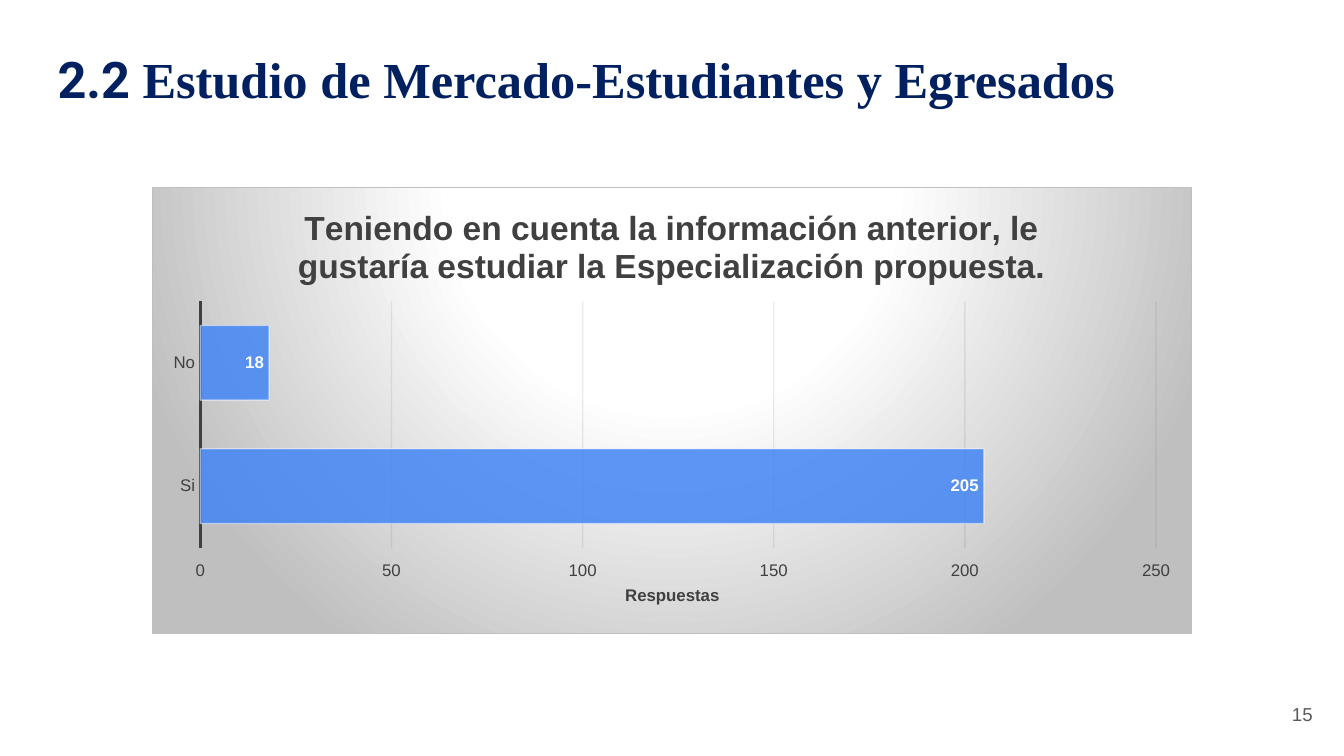
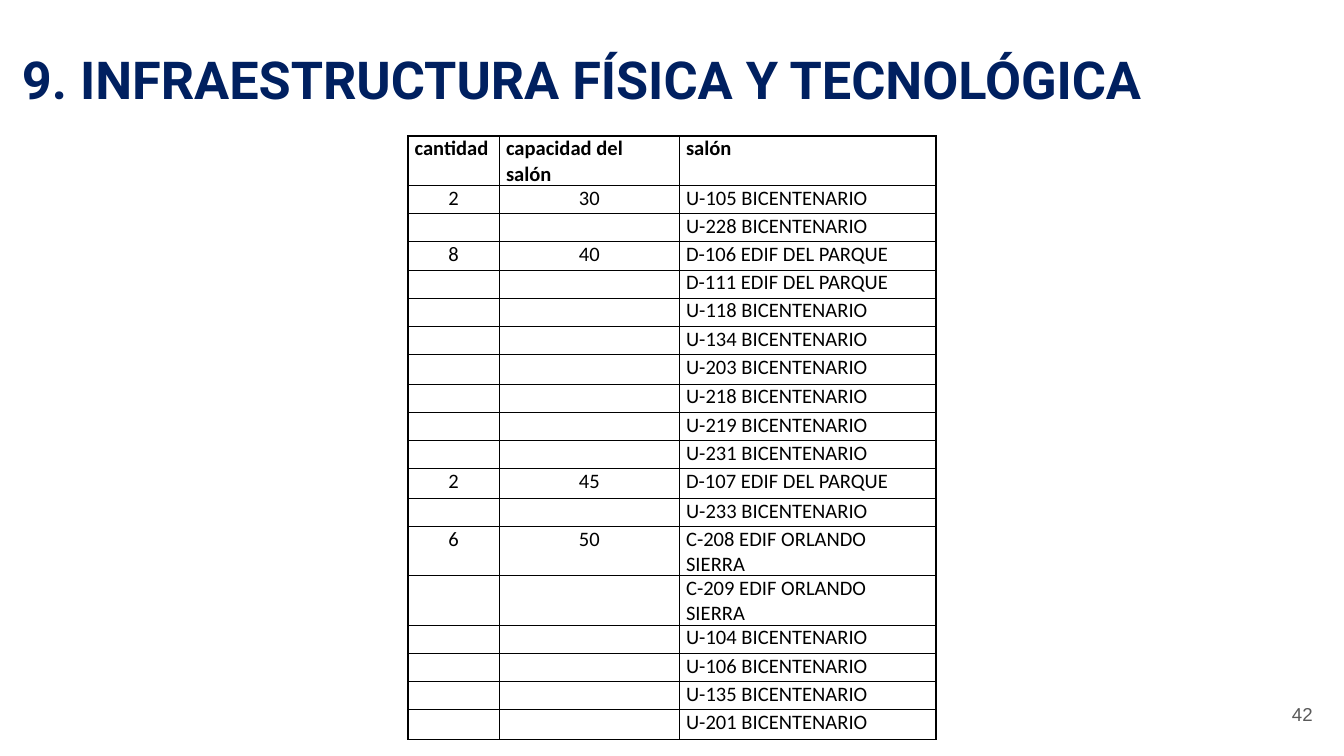
from lxml import etree
from pptx import Presentation
from pptx import util as u
from pptx.chart import data as chart_data
from pptx.dml import color
from pptx.enum import chart as ch
from pptx.enum import text
from pptx.oxml import ns, parse_xml

WIDTH = u.Inches(10)
HEIGHT = WIDTH * 9 // 16
NAVY, BLACK, WHITE = "002060", "000000", "FFFFFF"
DARK, GREY, SILVER, BLUE = "404040", "595959", "BFBFBF", "4285F4"
NUMBER_BOX = (92.65, 90.67, 6, 7.64)

ROOMS = [
    ("2", "30", ["U-105 BICENTENARIO", "U-228 BICENTENARIO"]),
    ("8", "40", ["D-106 EDIF DEL PARQUE", "D-111 EDIF DEL PARQUE",
                 "U-118 BICENTENARIO", "U-134 BICENTENARIO",
                 "U-203 BICENTENARIO", "U-218 BICENTENARIO",
                 "U-219 BICENTENARIO", "U-231 BICENTENARIO"]),
    ("2", "45", ["D-107 EDIF DEL PARQUE", "U-233 BICENTENARIO"]),
    ("6", "50", ["C-208 EDIF ORLANDO SIERRA", "C-209 EDIF ORLANDO SIERRA",
                 "U-104 BICENTENARIO", "U-106 BICENTENARIO",
                 "U-135 BICENTENARIO", "U-201 BICENTENARIO"]),
]


def rgb(hex_code):
    return color.RGBColor.from_string(hex_code)


def place(box):
    """Turn hundredths of the slide's width and height into lengths."""
    left, top, width, height = box
    return (int(WIDTH * left / 100), int(HEIGHT * top / 100),
            int(WIDTH * width / 100), int(HEIGHT * height / 100))


def style(font, size, hex_code, face="Arial", bold=False):
    font.size, font.name, font.bold = u.Pt(size), face, bold
    font.color.rgb = rgb(hex_code)


def add_text(slide, box, pieces, size, hex_code, bold=False, inset=0.1):
    """Add one paragraph made of (words, face) pieces."""
    frame = slide.shapes.add_textbox(*place(box)).text_frame
    frame.word_wrap = True
    frame.margin_left = frame.margin_right = u.Inches(0.1)
    frame.margin_top = frame.margin_bottom = u.Inches(inset)
    for words, face in pieces:
        run = frame.paragraphs[0].add_run()
        run.text = words
        style(run.font, size, hex_code, face, bold)
    return frame


def add_title(slide, box, pieces, size, inset=0.1):
    return add_text(slide, box, pieces, size, NAVY, True, inset)


def add_number(slide, number):
    frame = add_text(slide, NUMBER_BOX, [(number, "Arial")], 10, GREY)
    frame.vertical_anchor = text.MSO_ANCHOR.MIDDLE
    frame.paragraphs[0].alignment = text.PP_ALIGN.RIGHT


def set_alpha(colours, percent):
    for colour in colours:
        etree.SubElement(colour, ns.qn("a:alpha")).set("val", str(percent * 1000))


def set_layout(owner, **shares):
    """Fix a chart part at hundredths of the chart's size."""
    for old in owner.findall(ns.qn("c:layout")):
        owner.remove(old)
    layout = etree.Element(ns.qn("c:layout"))
    manual = etree.SubElement(layout, ns.qn("c:manualLayout"))
    values = {"layoutTarget": "inner"} if "w" in shares else {}
    values.update(xMode="edge", yMode="edge")
    values.update((key, share / 100) for key, share in shares.items())
    for key, value in values.items():
        etree.SubElement(manual, ns.qn("c:" + key)).set("val", str(value))
    words = owner.find(ns.qn("c:tx"))
    if words is None:
        owner.insert(0, layout)
    else:
        words.addnext(layout)


def set_chart_title(title, words, size, x, y):
    title.text_frame.text = words
    style(title.text_frame.paragraphs[0].runs[0].font, size, DARK, bold=True)
    set_layout(title._element, x=x, y=y)


def fill_chart_area(chart):
    stops = "".join(
        f'<a:gs pos="{share * 1000}"><a:srgbClr val="{hex_code}"/></a:gs>'
        for share, hex_code in ((0, WHITE), (39, WHITE), (100, SILVER)))
    area = parse_xml(
        f'<c:spPr {ns.nsdecls("c", "a")}><a:gradFill><a:gsLst>{stops}</a:gsLst>'
        '<a:path path="circle"><a:fillToRect l="50000" t="-80000" r="50000" '
        'b="180000"/></a:path></a:gradFill><a:ln w="9525"><a:solidFill>'
        f'<a:srgbClr val="{SILVER}"/></a:solidFill></a:ln></c:spPr>')
    chart._chartSpace.find(ns.qn("c:chart")).addnext(area)


def style_axes(chart):
    answers, counts = chart.category_axis, chart.value_axis
    for axis in (answers, counts):
        axis.major_tick_mark = axis.minor_tick_mark = ch.XL_TICK_MARK.NONE
        style(axis.tick_labels.font, 9, DARK)
    answers.reverse_order = True
    answers.format.line.color.rgb = rgb(DARK)
    answers.format.line.width = u.Pt(1.5)
    counts.tick_label_position = ch.XL_TICK_LABEL_POSITION.HIGH
    counts.minimum_scale, counts.maximum_scale, counts.major_unit = 0, 250, 50
    counts.format.line.fill.background()
    grid = counts.major_gridlines.format.line
    grid.color.rgb, grid.width = rgb("0D0D0D"), u.Pt(0.75)
    set_alpha(counts._element.xpath("c:majorGridlines//a:srgbClr"), 8)
    set_chart_title(counts.axis_title, "Respuestas", 9, 45.2, 88.3)


def style_bars(plot):
    plot.gap_width, plot.vary_by_categories = 65, False
    bars = plot.series[0]
    bars.invert_if_negative = False
    bars.format.fill.solid()
    bars.format.fill.fore_color.rgb = rgb(BLUE)
    bars.format.line.color.rgb = rgb(WHITE)
    bars.format.line.width = u.Pt(0.75)
    set_alpha(bars._element.xpath("c:spPr/a:solidFill/a:srgbClr"), 85)
    set_alpha(bars._element.xpath("c:spPr/a:ln//a:srgbClr"), 50)
    labels = bars.data_labels
    labels.show_value = True
    labels.position = ch.XL_LABEL_POSITION.INSIDE_END
    style(labels.font, 9, WHITE, bold=True)


def add_survey_chart(slide, box):
    answers = chart_data.CategoryChartData()
    answers.categories = ["No", "Si"]
    answers.add_series("Series 1", (18, 205))
    chart = slide.shapes.add_chart(
        ch.XL_CHART_TYPE.BAR_CLUSTERED, *place(box), answers).chart
    chart.has_legend = False
    style(chart.font, 10, BLACK)
    fill_chart_area(chart)
    style_axes(chart)
    style_bars(chart.plots[0])
    chart.has_title = True
    set_chart_title(
        chart.chart_title,
        "Teniendo en cuenta la información anterior, le gustaría estudiar "
        "la Especialización propuesta.", 18, 13.4, 2.8)
    set_layout(chart._chartSpace.chart.plotArea, x=4.6, y=25.5, w=92, h=55.3)


def set_borders(cell, weights):
    """Draw black left, right, top and bottom borders, weights in points."""
    for side, weight in zip("LRTB", weights):
        line = etree.SubElement(cell._tc.get_or_add_tcPr(), ns.qn("a:ln" + side))
        line.set("w", str(u.Pt(weight)))
        solid = etree.SubElement(line, ns.qn("a:solidFill"))
        etree.SubElement(solid, ns.qn("a:srgbClr")).set("val", BLACK)


def fill_cell(cell, words, bold, centred):
    cell.margin_left = cell.margin_right = u.Inches(0.05)
    cell.margin_top = cell.margin_bottom = 0
    cell.fill.background()
    paragraph = cell.text_frame.paragraphs[0]
    if not words:
        paragraph._p.get_or_add_endParaRPr().set("sz", "1100")
        return
    paragraph.text = words
    style(paragraph.runs[0].font, 11, BLACK, "Calibri", bold)
    if centred:
        paragraph.alignment = text.PP_ALIGN.CENTER


def add_room_table(slide, box, column_widths):
    rows = [("cantidad ", "capacidad del salón", "salón ")]
    for amount, capacity, rooms in ROOMS:
        for i, room in enumerate(rooms):
            rows.append((amount, capacity, room) if i == 0 else ("", "", room))
    last_row, last_column = len(rows) - 1, len(column_widths) - 1
    table = slide.shapes.add_table(
        len(rows), len(column_widths), *place(box)).table
    table.first_row = table.horz_banding = False
    for column, width in zip(table.columns, column_widths):
        column.width = int(WIDTH * width / 100)
    for r, row in enumerate(rows):
        table.rows[r].height = u.Inches(0.22 if r in (0, 7, 11, 18) else 0.21)
        for c, words in enumerate(row):
            outer = (c == 0, c == last_column, r == 0, r == last_row)
            cell = table.cell(r, c)
            set_borders(cell, [1 if edge else 0.5 for edge in outer])
            fill_cell(cell, words, r == 0, r > 0 and c < last_column)


def build_market_slide(slide):
    add_title(slide, (3.3, 5.51, 87.6, 9.96),
              [("2.2 ", "Roboto"),
               ("Estudio de Mercado-Estudiantes y Egresados", "Times New Roman")],
              27, inset=0.05)
    add_survey_chart(slide, (11.3, 24.71, 77.4, 59.2))
    add_number(slide, "15")


def build_facilities_slide(slide):
    title = add_title(slide, (0.65, 3.2, 91.8, 15.47),
                      [("9. INFRAESTRUCTURA FÍSICA Y TECNOLÓGICA", "Roboto")], 28)
    title.paragraphs[0].line_spacing = 1.15
    add_room_table(slide, (30.35, 18, 39.3, 76.8), (6.8, 13.4, 19.1))
    add_number(slide, "42")


def main():
    deck = Presentation()
    deck.slide_width, deck.slide_height = WIDTH, HEIGHT
    for build in (build_market_slide, build_facilities_slide):
        build(deck.slides.add_slide(deck.slide_layouts[6]))
    deck.save("out.pptx")


if __name__ == "__main__":
    main()
